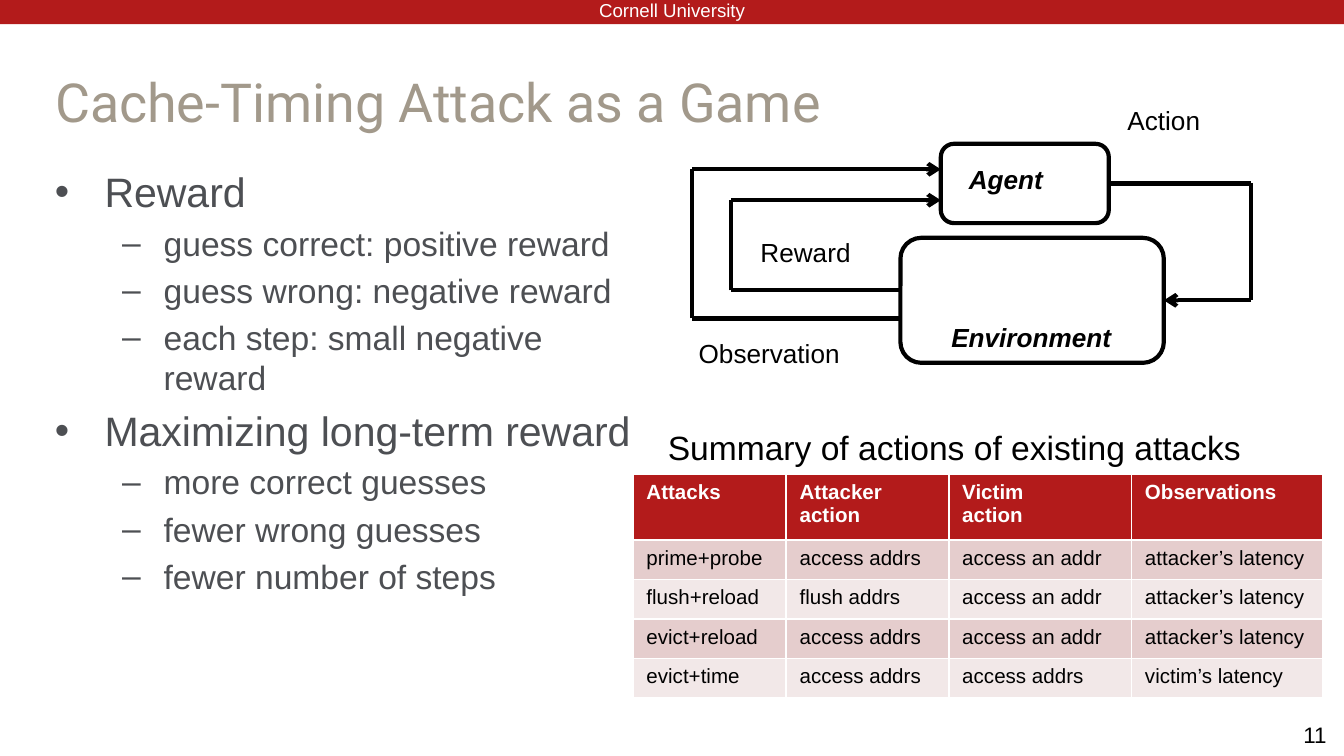
from itertools import pairwise

from lxml import etree
from pptx import Presentation, util as u
from pptx.dml.color import RGBColor
from pptx.enum import shapes, text
from pptx.oxml.ns import qn

COLORS = {"red": "B31B1B", "sand": "A2998B", "slate": "4D4F53", "black": "000000",
          "white": "FFFFFF", "band dark": "E5CDCD", "band light": "F2E8E8"}
BULLETS = [  # sign, size, left indent and hanging indent in columns
    ("•", 22, 3.7, 3.7),
    ("–", 18, 8.1, 3.1),
]
GOALS = [
    (0, "Reward"),
    (1, "guess correct: positive reward"),
    (1, "guess wrong: negative reward"),
    (1, "each step: small negative reward"),
    (0, "Maximizing long-term reward"),
    (1, "more correct guesses"),
    (1, "fewer wrong guesses"),
    (1, "fewer number of steps"),
]
ATTACKS = [
    ["Attacks", "Attacker action", "Victim\naction", "Observations"],
    ["prime+probe", "access addrs", "access an addr", "attacker’s latency"],
    ["flush+reload", "flush addrs", "access an addr", "attacker’s latency"],
    ["evict+reload", "access addrs", "access an addr", "attacker’s latency"],
    ["evict+time", "access addrs", "access addrs", "victim’s latency"],
]


def color(name):
    return RGBColor.from_string(COLORS[name])


def cells(count):
    """Length of a number of grid columns or rows, ten to the inch."""
    return u.Inches(count / 10)


class Slide:
    """Style and current slide; every place is given in grid columns and rows."""

    def __init__(self, deck):
        self.page = deck.slides.add_slide(deck.slide_layouts[5])
        self.shapes = self.page.shapes

    def style(self, para, size, ink="black", font="Arial", bold=False, italic=False):
        para.font.name, para.font.size = font, u.Pt(size)
        para.font.bold, para.font.italic = bold, italic
        para.font.color.rgb = color(ink)

    def title(self, words, place):
        title = self.shapes.title
        title.left, title.top, title.width, title.height = map(cells, place)
        frame = title.text_frame
        frame.text = words
        frame.auto_size = text.MSO_AUTO_SIZE.NONE
        frame.vertical_anchor = text.MSO_ANCHOR.MIDDLE
        frame.paragraphs[0].alignment = text.PP_ALIGN.LEFT
        self.style(frame.paragraphs[0], 28.8, "sand", "Roboto")

    def box(self, place):
        frame = self.shapes.add_textbox(*map(cells, place)).text_frame
        frame.word_wrap = True
        return frame

    def label(self, words, place, size=14, align=text.PP_ALIGN.LEFT, **look):
        para = self.box(place).paragraphs[0]
        para.text, para.alignment = words, align
        self.style(para, size, **look)

    def bullets(self, items, place):
        frame = self.box(place)
        for index, (level, words) in enumerate(items):
            para = frame.add_paragraph() if index else frame.paragraphs[0]
            sign, size, left, hanging = BULLETS[level]
            para.text, para.level = words, level
            para.space_before = u.Pt(0.2 * size if index else 0)
            props = para._p.get_or_add_pPr()
            props.set("marL", str(cells(left)))
            props.set("indent", str(-cells(hanging)))
            etree.SubElement(props, qn("a:buFont"), typeface="Arial")
            etree.SubElement(props, qn("a:buChar"), char=sign)
            self.style(para, size, "slate")

    def shape(self, kind, place, fill, line=None):
        shape = self.shapes.add_shape(kind, *map(cells, place))
        shape.shadow.inherit = False
        shape.fill.solid()
        shape.fill.fore_color.rgb = color(fill)
        if line:
            shape.line.color.rgb, shape.line.width = color(line), u.Pt(2.25)
        else:
            shape.line.fill.background()
        return shape

    def node(self, place):
        return self.shape(shapes.MSO_SHAPE.ROUNDED_RECTANGLE, place, "white", "black")

    def route(self, points):
        """Draw straight lines through the points, with an arrow at the last."""
        lines = []
        for start, end in pairwise(points):
            line = self.shapes.add_connector(
                shapes.MSO_CONNECTOR.STRAIGHT, *map(cells, start + end))
            line.line.color.rgb, line.line.width = color("black"), u.Pt(2.25)
            etree.SubElement(line._element.spPr, qn("a:effectLst"))
            lines.append(line)
        etree.SubElement(lines[-1].line._get_or_add_ln(), qn("a:tailEnd"), type="arrow")
        return lines

    def table(self, rows, place, widths, heights):
        table = self.shapes.add_table(len(rows), len(widths), *map(cells, place)).table
        for column, width in zip(table.columns, widths):
            column.width = cells(width)
        for index, (row, words) in enumerate(zip(table.rows, rows)):
            row.height = cells(heights[index])
            header = index == 0
            fill = "red" if header else "band dark" if index % 2 else "band light"
            for cell, word in zip(row.cells, words):
                cell.text = word
                cell.fill.solid()
                cell.fill.fore_color.rgb = color(fill)
                for para in cell.text_frame.paragraphs:
                    self.style(para, 11, "white" if header else "black", bold=header)


def main():
    deck = Presentation()
    deck.slide_width, deck.slide_height = cells(100), cells(56.25)
    slide = Slide(deck)

    slide.shape(shapes.MSO_SHAPE.RECTANGLE, (0, 0, 100, 1.8), "red")
    slide.label("Cornell University", (39.6, -0.6, 20.8, 2.7), 10,
                text.PP_ALIGN.CENTER, ink="white")
    slide.label("11", (96, 53.2, 4, 3), 12)
    slide.title("Cache-Timing Attack as a Game", (3.1, 5.1, 71.7, 4.9))
    slide.bullets(GOALS, (3.1, 11.9, 46.4, 49.6))

    environment = slide.node((67, 17.7, 19.6, 9.3))
    agent = slide.node((70, 10.7, 12.5, 5.9))
    action = slide.route([(82.5, 13.65), (93.1, 13.65), (93.1, 22.35), (86.6, 22.35)])
    action[0].begin_connect(agent, 3)
    action[-1].end_connect(environment, 3)
    for bend, low, high in [(54.4, 21.6, 14.9), (51.5, 23.7, 12.6)]:
        slide.route([(67, low), (bend, low), (bend, high), (70, high)])

    slide.label("Action", (82.9, 7.3, 10.9, 3.4))
    slide.label("Reward", (55.6, 17.1, 21, 3.4))
    slide.label("Observation", (51, 24.6, 17.4, 3.4))
    slide.label("Agent", (71.1, 11.7, 10.9, 3.4), bold=True, italic=True)
    slide.label("Environment", (69.8, 23.4, 21, 3.4), bold=True, italic=True)

    slide.table(ATTACKS, (47.1, 35.3, 51.3, 16.6),
                [11.4, 12.1, 13.6, 14.2], [4.9] + [2.93] * 4)
    slide.label("Summary of actions of existing attacks", (48.7, 31.3, 48.1, 4), 18)
    deck.save("out.pptx")


if __name__ == "__main__":
    main()
